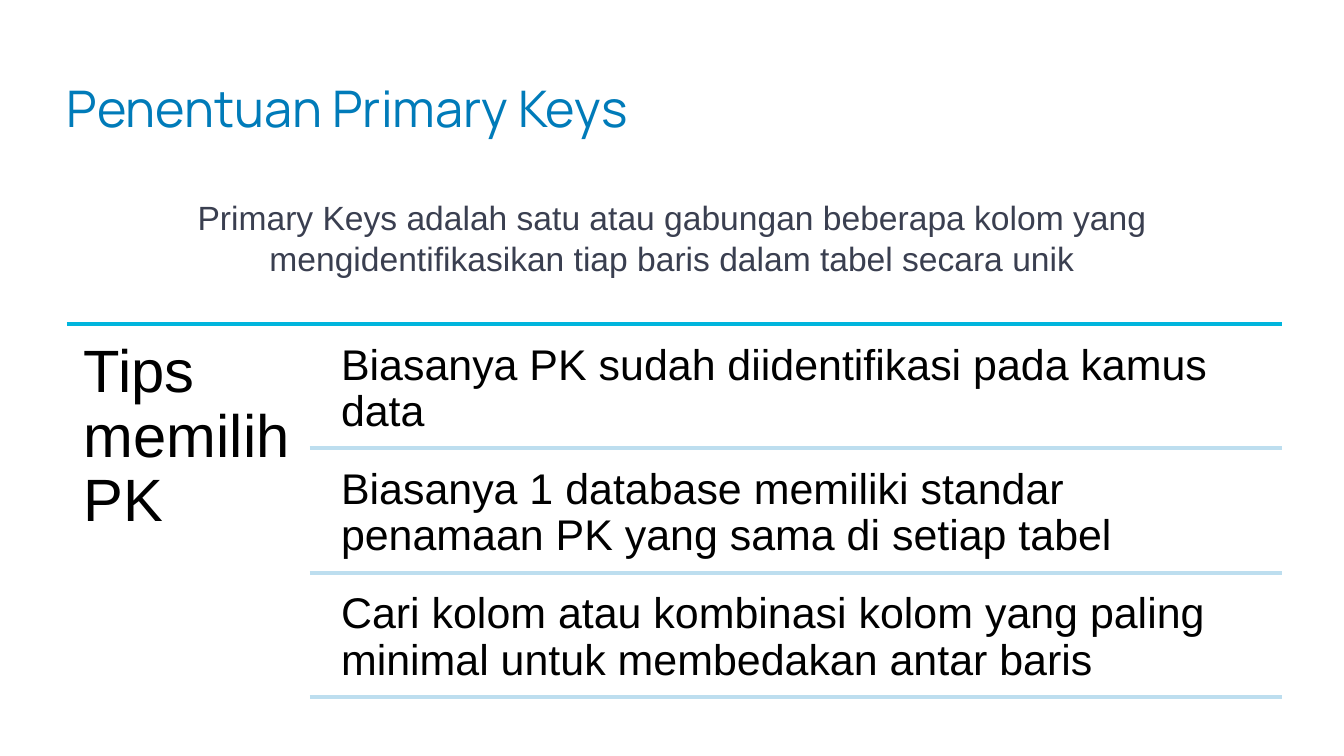
import pptx
import pptx.dml.color
import pptx.enum.shapes
import pptx.enum.text
import pptx.oxml.ns
import pptx.util
import lxml.etree

RGBColor = pptx.dml.color.RGBColor
BLUE = RGBColor(0x00, 0x7B, 0xB9)
SLATE = RGBColor(0x3A, 0x3F, 0x50)
CYAN = RGBColor(0x00, 0xB5, 0xDD)
PALE_BLUE = RGBColor(0xBD, 0xDE, 0xEF)
BLACK = RGBColor(0x00, 0x00, 0x00)

TITLE = "Penentuan Primary Keys"
DEFINITION = (
    "Primary Keys adalah satu atau gabungan beberapa kolom yang "
    "mengidentifikasikan tiap baris dalam tabel secara unik"
)
TIPS_HEADING = "Tips memilih PK"
TIPS = [
    "Biasanya PK sudah diidentifikasi pada kamus data",
    "Biasanya 1 database memiliki standar penamaan PK yang sama di setiap tabel",
    "Cari kolom atau kombinasi kolom yang paling minimal untuk membedakan antar baris",
]

SLIDE_WIDTH, SLIDE_HEIGHT = 1344, 756
LEFT, RIGHT = 67, 1282
LIST_TOP = 324
RULE_LEFT, TIP_LEFT = 310, 328
TIP_GAP, TIP_HEIGHT, TIP_PITCH = 6, 118, 124.4


def px(length):
    return pptx.util.Emu(round(length * 914400 / 134.4))


def add_text(slide, text, box, size, color, font="Arial", insets=(0, 0),
             spacing=None, alignment=pptx.enum.text.PP_ALIGN.LEFT,
             anchor=pptx.enum.text.MSO_ANCHOR.TOP):
    """Add a text box; insets are (horizontal, vertical) in px."""
    frame = slide.shapes.add_textbox(*map(px, box)).text_frame
    frame.word_wrap = True
    frame.vertical_anchor = anchor
    frame.margin_left = frame.margin_right = px(insets[0])
    frame.margin_top = frame.margin_bottom = px(insets[1])
    paragraph = frame.paragraphs[0]
    paragraph.alignment = alignment
    paragraph.line_spacing = spacing
    run = paragraph.add_run()
    run.text = text
    run.font.name = font
    run.font.size = pptx.util.Pt(size)
    run.font.color.rgb = color


def add_rule(slide, left, y, color):
    rule = slide.shapes.add_connector(
        pptx.enum.shapes.MSO_CONNECTOR.STRAIGHT, px(left), px(y), px(RIGHT), px(y))
    rule.line.color.rgb = color
    rule.line.width = pptx.util.Pt(2)
    lxml.etree.SubElement(rule._element.spPr, pptx.oxml.ns.qn("a:effectLst"))


def main():
    presentation = pptx.Presentation()
    presentation.slide_width = px(SLIDE_WIDTH)
    presentation.slide_height = px(SLIDE_HEIGHT)
    slide = presentation.slides.add_slide(presentation.slide_layouts[6])

    add_text(slide, TITLE, (LEFT, 89, 829, 60), 27, BLUE, font="Manrope", spacing=0.8)
    add_text(slide, DEFINITION, (184, 190, 976, 95), 18, SLATE, insets=(13, 7),
             alignment=pptx.enum.text.PP_ALIGN.CENTER,
             anchor=pptx.enum.text.MSO_ANCHOR.MIDDLE)

    add_rule(slide, LEFT, LIST_TOP, CYAN)
    add_text(slide, TIPS_HEADING, (LEFT, LIST_TOP, RULE_LEFT - LEFT, 379), 32, BLACK,
             insets=(17, 17), spacing=0.9)
    for index, tip in enumerate(TIPS):
        top = LIST_TOP + index * TIP_PITCH
        add_text(slide, tip, (TIP_LEFT, top + TIP_GAP, RIGHT - TIP_LEFT, TIP_HEIGHT),
                 23, BLACK, insets=(13, 13), spacing=0.9)
        add_rule(slide, RULE_LEFT, top + TIP_PITCH, PALE_BLUE)

    presentation.save("out.pptx")


if __name__ == "__main__":
    main()
